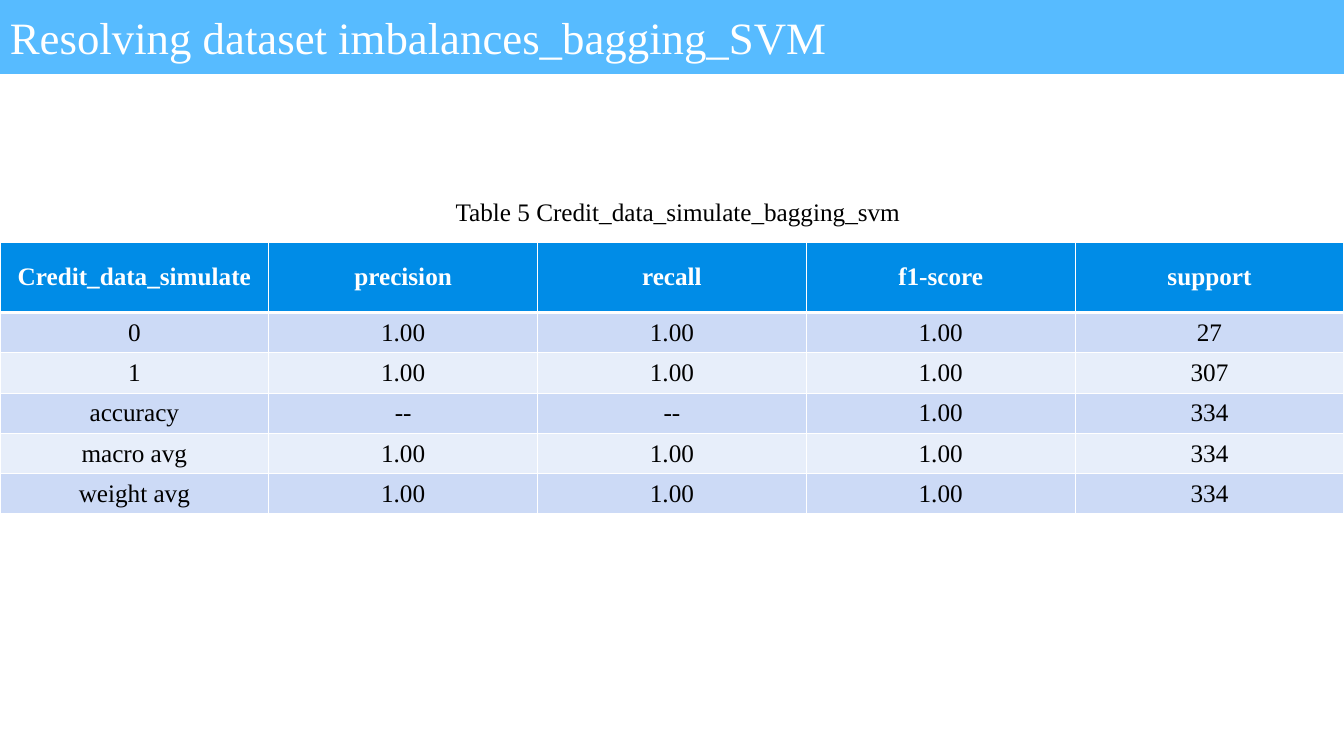
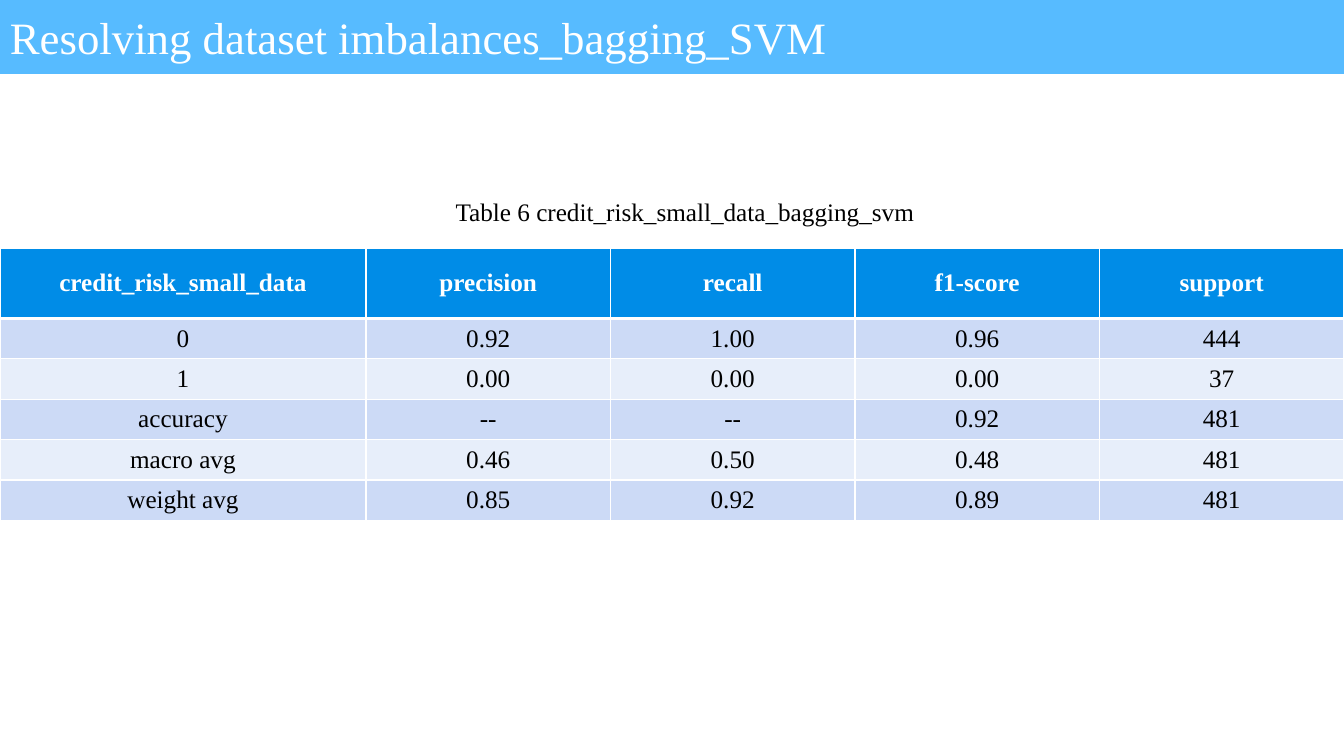
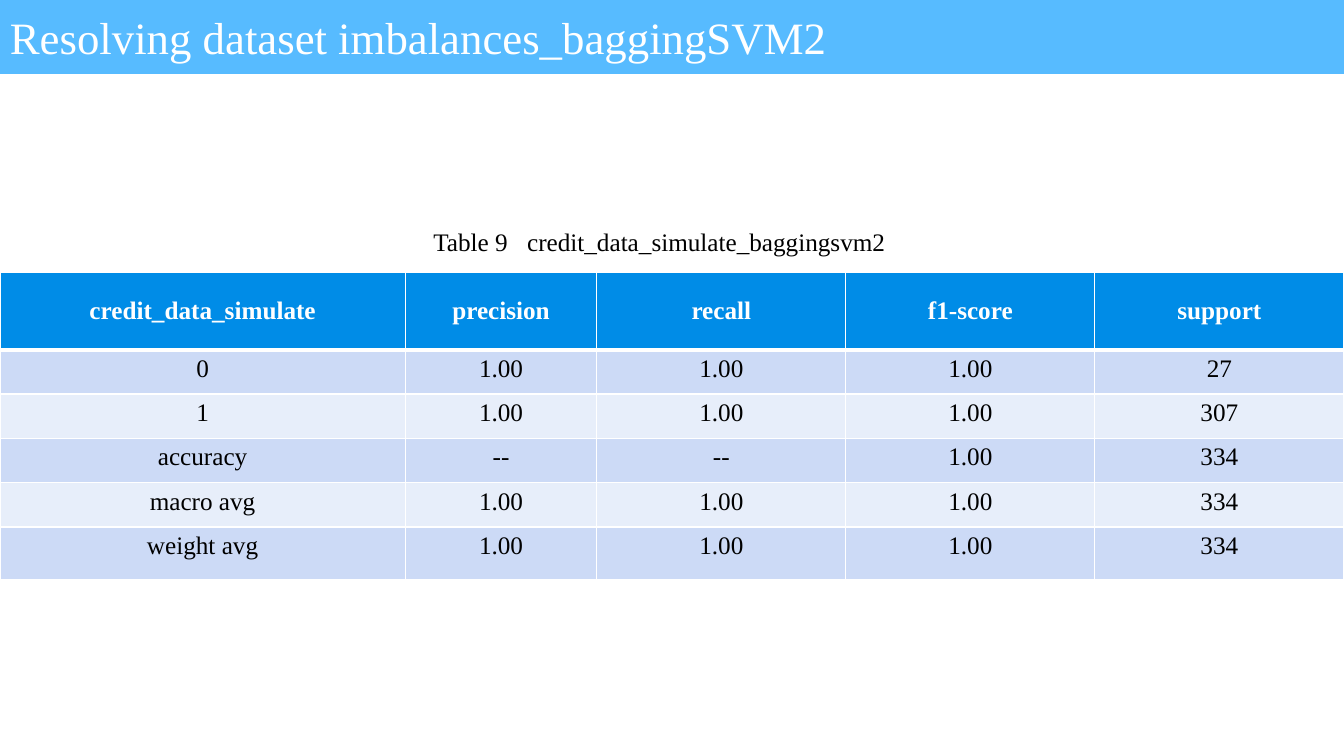
import pptx
import pptx.dml.color
import pptx.enum.shapes
import pptx.enum.text
import pptx.oxml
import pptx.oxml.ns
import pptx.util

PX = 9144
WIDTH, HEIGHT = 1333, 750
ALIGN = pptx.enum.text.PP_ALIGN
ANCHOR = pptx.enum.text.MSO_ANCHOR


def rgb(value):
    return pptx.dml.color.RGBColor.from_string(value)


def emu(*lengths):
    return [int(n * PX) for n in lengths]


class Deck:
    """Holds the shared style and the current slide."""

    font = "Times New Roman"
    band, header, white, black = "57BBFF", "008CE7", "FFFFFF", "000000"
    stripes = ("CCDAF6", "E7EEFA")
    title_format = {"size": pptx.util.Pt(32), "bold": False}
    header_format = {"size": pptx.util.Pt(18), "bold": True}
    body_format = {"size": pptx.util.Pt(18), "bold": False}

    def __init__(self):
        self.prs = pptx.Presentation()
        self.prs.slide_width, self.prs.slide_height = emu(WIDTH, HEIGHT)
        self.s = None

    def text(self, tf, text, color, style, align=ALIGN.LEFT):
        p = tf.paragraphs[0]
        p.alignment = align
        r = p.add_run()
        r.text = text
        for name, value in {"name": self.font, **style}.items():
            setattr(r.font, name, value)
        r.font.color.rgb = rgb(color)
        return p

    def slide(self, title):
        self.s = self.prs.slides.add_slide(self.prs.slide_layouts[6])
        sp = self.s.shapes.add_shape(
            pptx.enum.shapes.MSO_SHAPE.RECTANGLE, *emu(0, 0, WIDTH, 73))
        sp.shadow.inherit = False
        sp.fill.solid()
        sp.fill.fore_color.rgb = rgb(self.band)
        sp.line.color.rgb = rgb(self.band)
        sp.line.width = pptx.util.Pt(1)
        sp.text_frame.vertical_anchor = ANCHOR.MIDDLE
        self.text(sp.text_frame, title, self.white, self.title_format)

    def caption(self, text, x, y, w, tab=None):
        tf = self.s.shapes.add_textbox(*emu(x, y, w, 40)).text_frame
        tf.word_wrap = True
        tf.auto_size = pptx.enum.text.MSO_AUTO_SIZE.SHAPE_TO_FIT_TEXT
        p = self.text(tf, text, self.black, self.body_format)
        if tab:
            p._p.get_or_add_pPr().append(pptx.oxml.parse_xml(
                f'<a:tabLst {pptx.oxml.ns.nsdecls("a")}>'
                f'<a:tab pos="{tab * PX}" algn="l"/></a:tabLst>'))

    def borders(self, cell, **widths):
        tcPr = cell._tc.get_or_add_tcPr()
        for side in "LRTB":
            width = pptx.util.Pt(widths.get(side, 1))
            tcPr.append(pptx.oxml.parse_xml(
                f'<a:ln{side} {pptx.oxml.ns.nsdecls("a")} w="{width}">'
                f'<a:solidFill><a:srgbClr val="{self.white}"/></a:solidFill>'
                f'</a:ln{side}>'))

    def table(self, y, rows, heights, first_widths=(), anchor=ANCHOR.MIDDLE):
        count = len(rows[0])
        share = (WIDTH - sum(first_widths)) / (count - len(first_widths))
        widths = [*first_widths, *[share] * (count - len(first_widths))]
        tbl = self.s.shapes.add_table(
            len(rows), count, *emu(0, y, WIDTH, sum(heights))).table
        tbl.horz_banding = False
        for column, width in zip(tbl.columns, emu(*widths)):
            column.width = width
        for i, (row, height) in enumerate(zip(rows, emu(*heights))):
            tbl.rows[i].height = height
            for j, text in enumerate(row):
                cell = tbl.cell(i, j)
                self.borders(cell, B=1 if i else 3, T=3 if i == 1 else 1)
                cell.fill.solid()
                if i:
                    fill, color, style = self.stripes[(i - 1) % 2], self.black, self.body_format
                else:
                    fill, color, style = self.header, self.white, self.header_format
                cell.fill.fore_color.rgb = rgb(fill)
                cell.vertical_anchor = anchor if i else ANCHOR.MIDDLE
                self.text(cell.text_frame, text, color, style, ALIGN.CENTER)


def report(dataset, scores):
    labels = ("0", "1", "accuracy", "macro avg", "weight avg")
    header = (dataset, "precision", "recall", "f1-score", "support")
    return [header, *((label, *line.split()) for label, line in zip(labels, scores))]


def main():
    simulated = ("1.00 1.00 1.00 27", "1.00 1.00 1.00 307", "-- -- 1.00 334",
                 "1.00 1.00 1.00 334", "1.00 1.00 1.00 334")
    small = ("0.92 1.00 0.96 444", "0.00 0.00 0.00 37", "-- -- 0.92 481",
             "0.46 0.50 0.48 481", "0.85 0.92 0.89 481")
    heights = [70] + [40] * 5
    deck = Deck()

    deck.slide("Resolving dataset imbalances_bagging_SVM")
    deck.table(240, report("Credit_data_simulate", simulated), heights)
    deck.caption("Table 5 Credit_data_simulate_bagging_svm", 442, 190, 466)

    deck.slide("Resolving dataset imbalances_bagging_SVM")
    deck.table(246, report("credit_risk_small_data", small), heights, (363,))
    deck.caption("Table 6 credit_risk_small_data_bagging_svm", 442, 190, 480)

    deck.slide("Resolving dataset imbalances_baggingSVM2")
    deck.table(270, report("credit_data_simulate", simulated),
               [77] + [44] * 4 + [52], (402, 190), ANCHOR.TOP)
    deck.caption("Table 9\tcredit_data_simulate_baggingsvm2", 420, 220, 493, tab=93)

    deck.prs.save("out.pptx")


if __name__ == "__main__":
    main()
